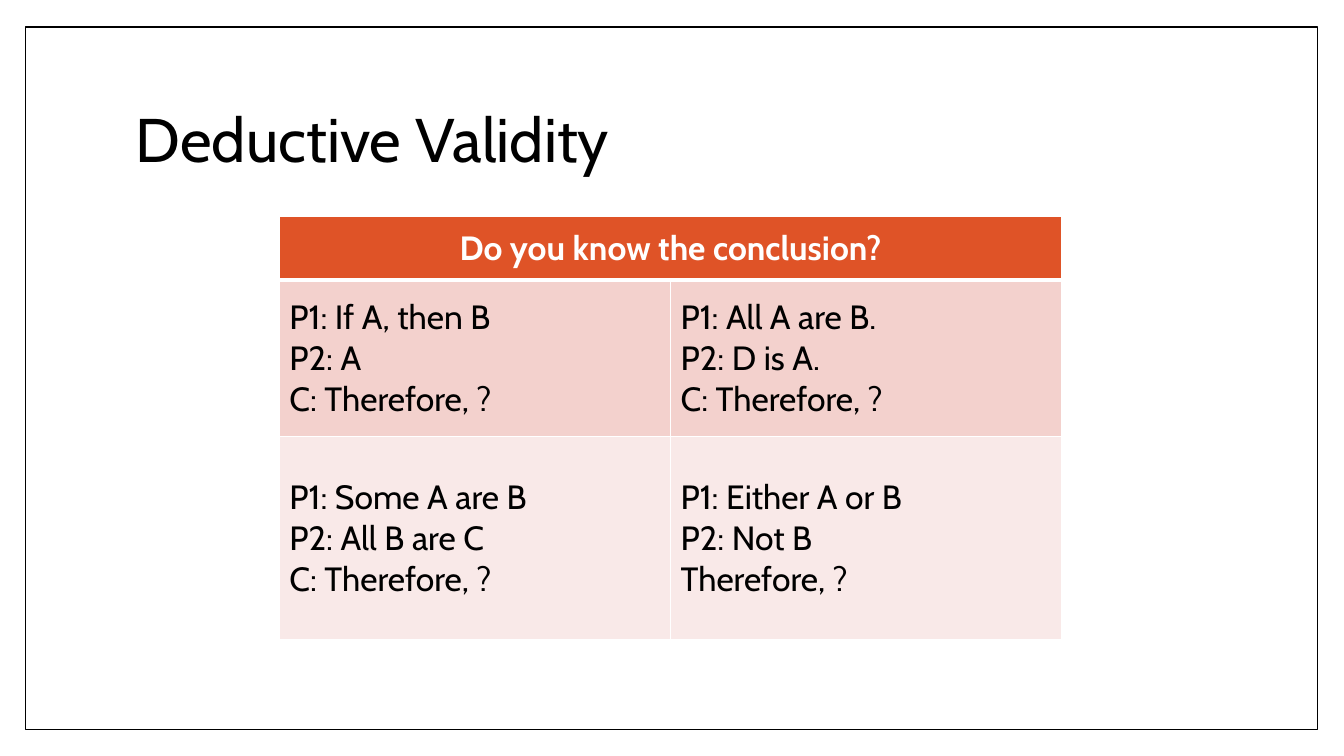
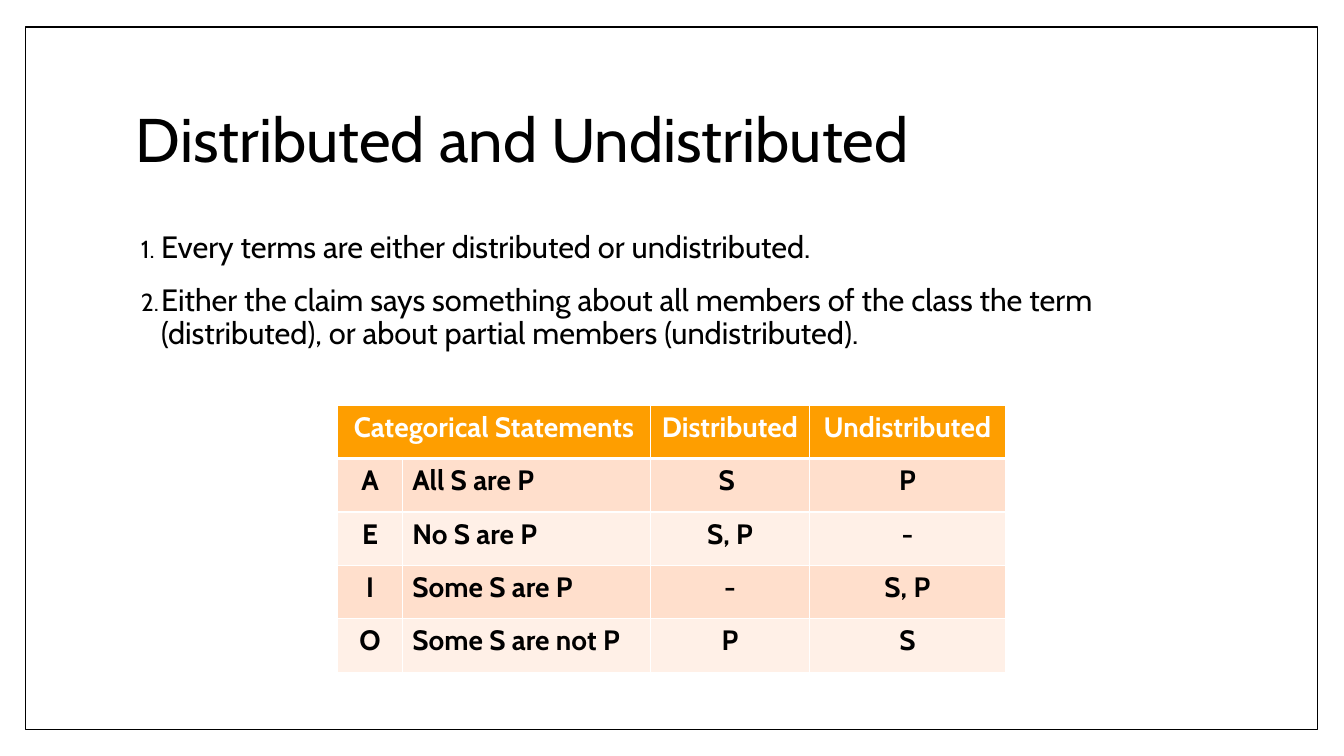
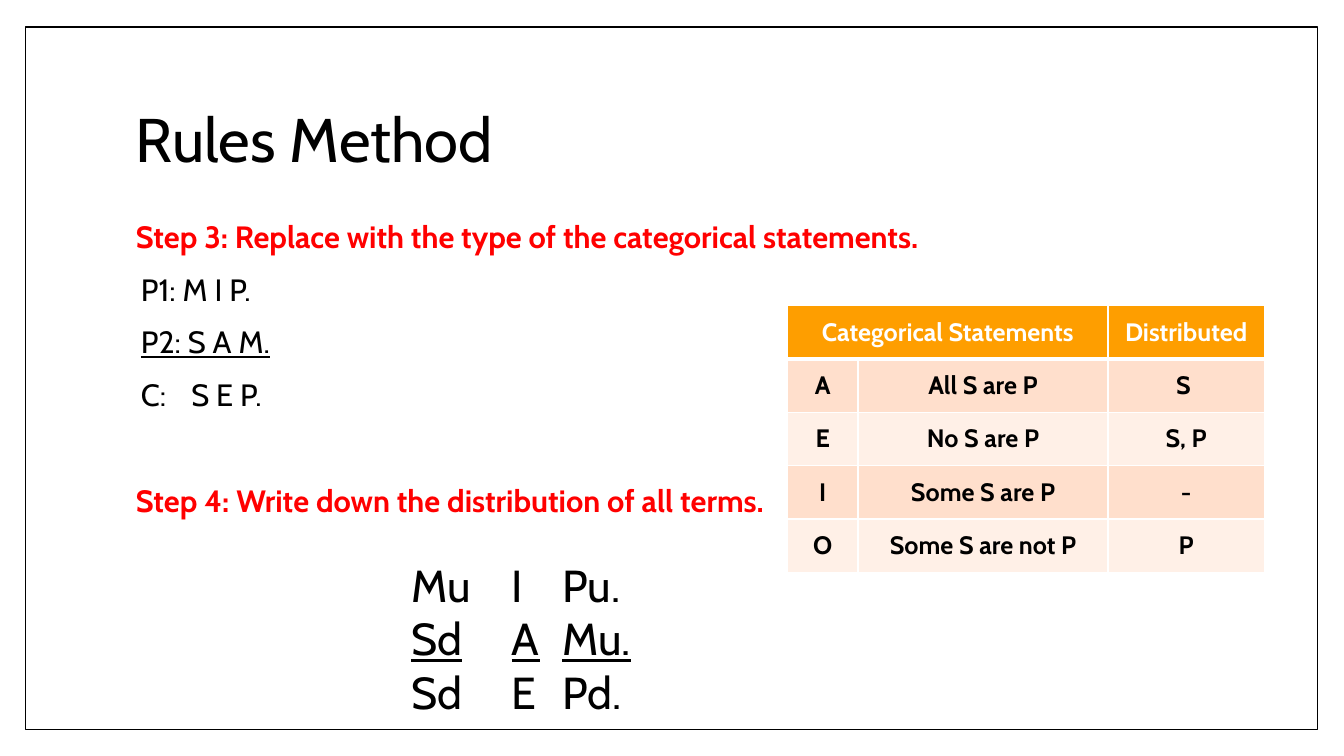
"""Build three slides on deductive validity, distribution and the rules method."""
from lxml.etree import SubElement
from pptx import Presentation
from pptx.dml.color import RGBColor
from pptx.enum.shapes import MSO_SHAPE
from pptx.enum.text import MSO_ANCHOR, PP_ALIGN
from pptx.oxml.ns import qn
from pptx.util import Inches, Pt

FONT = "Cabin"
BLACK, WHITE, RED = "000000", "FFFFFF", "FF0000"
RUST = ("DF5327", "F3D1CD", "F9E9E8")
GOLD = ("FE9E00", "FFDFCC", "FFF0E7")
MID, TOP = MSO_ANCHOR.MIDDLE, MSO_ANCHOR.TOP

FORMS = [
    ["Do you know the conclusion?", None],
    ["P1: If A, then B\nP2: A\nC: Therefore, ?",
     "P1: All A are B.\nP2: D is A.\nC: Therefore, ?"],
    ["P1: Some A are B\nP2: All B are C\nC: Therefore, ?",
     "P1: Either A or B\nP2: Not B\nTherefore, ?"],
]
TERMS = [
    ["Categorical Statements", None, "Distributed", "Undistributed"],
    ["A", "All S are P", "S ", "P"],
    ["E", "No S are P", "S, P", "-"],
    ["I", "Some S are P", "-", "S, P"],
    ["O", "Some S are not P", "P", "S"],
]
NOTES = [
    "Every terms are either distributed or undistributed.",
    "Either the claim says something about all members of the class the term "
    "(distributed), or about partial members (undistributed).",
]
HEAD = dict(color=RED, bold=True)
LINE = dict(left=0.05)
STEPS = [
    ("Step 3: Replace with the type of the categorical statements.", HEAD),
    ("P1: M I P.", LINE),
    ("P2: S A M.", dict(LINE, under=True)),
    ("C:\tS E P.", dict(LINE, tabs=[0.4])),
    ("Step 4: Write down the distribution of all terms.", dict(HEAD, before=52)),
]
MOODS = [("Mu\tI\tPu.", False), ("Sd\tA\tMu.", True), ("Sd\tE\tPd.", False)]


def paint(code):
    """Turn a hex string into a colour."""
    return RGBColor.from_string(code)


def style(para, text, size, color=BLACK, bold=False, under=False, align=None,
          space=None, before=None, left=0, hang=0, number=False, tabs=()):
    """Fill one paragraph and set its look."""
    para.text = text
    para.alignment = align
    para.line_spacing = space
    if before is not None:
        para.space_before = Pt(before)
    props = para._p.get_or_add_pPr()
    props.set("marL", str(Inches(left)))
    props.set("indent", str(Inches(-hang)))
    if number:
        tint = SubElement(props, qn("a:buClr"))
        SubElement(tint, qn("a:srgbClr"), val=color)
        SubElement(props, qn("a:buSzPct"), val="80000")
        SubElement(props, qn("a:buAutoNum"), type="arabicPeriod")
    if tabs:
        stops = SubElement(props, qn("a:tabLst"))
        for stop in tabs:
            SubElement(stops, qn("a:tab"), pos=str(Inches(stop)), algn="l")
    font = para.font
    font.name, font.size, font.bold, font.underline = FONT, Pt(size), bold, under
    font.color.rgb = paint(color)


def write(frame, lines, size, **base):
    """Write lines of (text, look) into a text frame."""
    for num, (text, look) in enumerate(lines):
        para = frame.add_paragraph() if num else frame.paragraphs[0]
        style(para, text, size, **{**base, **look})


def add_text(slide, area, lines, size, anchor=TOP, **base):
    """Add a wrapping text box."""
    frame = slide.shapes.add_textbox(*map(Inches, area)).text_frame
    frame.word_wrap = True
    frame.vertical_anchor = anchor
    write(frame, lines, size, **base)


def add_page(deck, title):
    """Add a slide with the thin frame and the title."""
    slide = deck.slides.add_slide(deck.slide_layouts[6])
    edge = slide.shapes.add_shape(
        MSO_SHAPE.RECTANGLE, *map(Inches, (0.25, 0.27, 12.82, 6.97)))
    edge.shadow.inherit = False
    edge.fill.solid()
    edge.fill.fore_color.rgb = paint(WHITE)
    edge.line.color.rgb = paint(BLACK)
    edge.line.width = Pt(1)
    add_text(slide, (1.25, 0.67, 10.8, 1.48), [(title, {})], 44, MID, space=0.9)
    return slide


def rule(cell, row):
    """Draw white cell borders, thick under the head row."""
    props = cell._tc.get_or_add_tcPr()
    for side in "LRTB":
        wide = 3 if (row, side) in ((0, "B"), (1, "T")) else 1
        line = SubElement(props, qn("a:ln" + side), w=str(Pt(wide)))
        fill = SubElement(line, qn("a:solidFill"))
        SubElement(fill, qn("a:srgbClr"), val=WHITE)


def add_grid(slide, spot, cols, rows, data, fills, size, anchor, lefts, bold):
    """Add a banded table; None joins a cell to the one on its left."""
    table = slide.shapes.add_table(
        len(rows), len(cols), *map(Inches, (*spot, sum(cols), sum(rows)))).table
    for col, wide in zip(table.columns, cols):
        col.width = Inches(wide)
    for row, high in zip(table.rows, rows):
        row.height = Inches(high)
    for r, texts in enumerate(data):
        for c, text in enumerate(texts):
            cell = table.cell(r, c)
            rule(cell, r)
            cell.fill.solid()
            cell.fill.fore_color.rgb = paint(fills[2 - r % 2 if r else 0])
            cell.vertical_anchor = anchor
            if text is None:
                table.cell(r, c - 1).merge(cell)
                continue
            side = PP_ALIGN.LEFT if r and c in lefts else PP_ALIGN.CENTER
            write(cell.text_frame, [(part, {}) for part in text.split("\n")],
                  size, align=side, bold=bold or r == 0,
                  color=BLACK if r else WHITE)


def main():
    """Build and save the deck."""
    deck = Presentation()
    deck.slide_width, deck.slide_height = Inches(13.33), Inches(7.5)
    body = dict(space=0.9, before=14)
    even = [0.53] * len(TERMS)

    page = add_page(deck, "Deductive Validity")
    add_grid(page, (2.77, 2.15), [3.88] * 2, [0.63, 1.55, 2.02],
             FORMS, RUST, 24, MID, (0, 1), False)

    page = add_page(deck, "Distributed and Undistributed")
    add_text(page, (1.25, 2.25, 10.8, 4.42), [(note, {}) for note in NOTES], 22,
             left=0.25, hang=0.2, number=True, **body)
    add_grid(page, (3.35, 4.02), [0.64, 2.46, 1.58, 1.94], even,
             TERMS, GOLD, 20, TOP, (1,), True)

    page = add_page(deck, "Rules Method")
    add_text(page, (1.25, 2.15, 9.58, 4.33), STEPS, 22, **body)
    add_grid(page, (7.81, 3.03), [0.7, 2.48, 1.55], even,
             [row[:3] for row in TERMS], GOLD, 18, MID, (), True)
    add_text(page, (3.98, 5.48, 2.64, 1.72),
             [(mood, dict(under=under)) for mood, under in MOODS], 32,
             tabs=[0.8, 1.4])

    deck.save("out.pptx")


if __name__ == "__main__":
    main()
